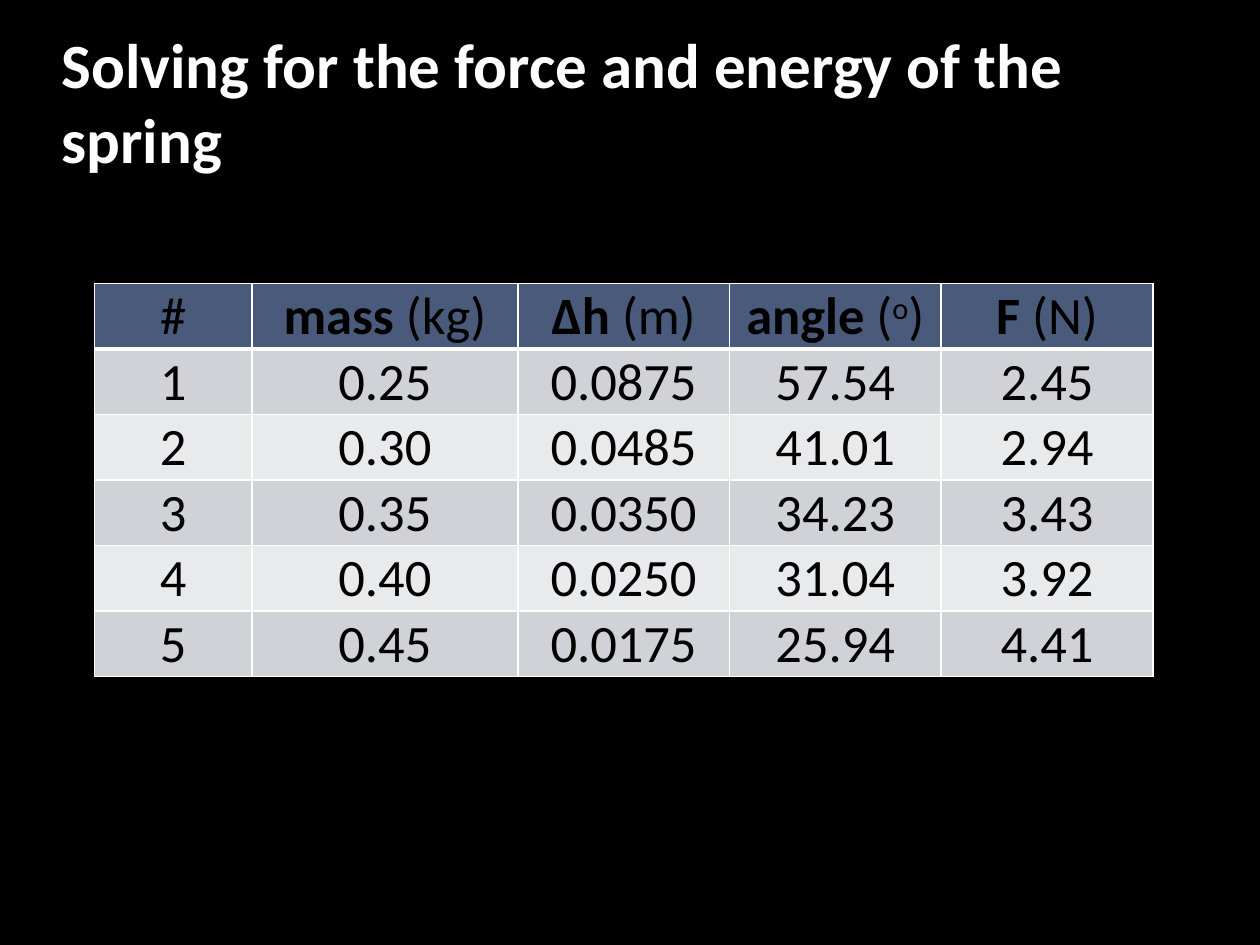
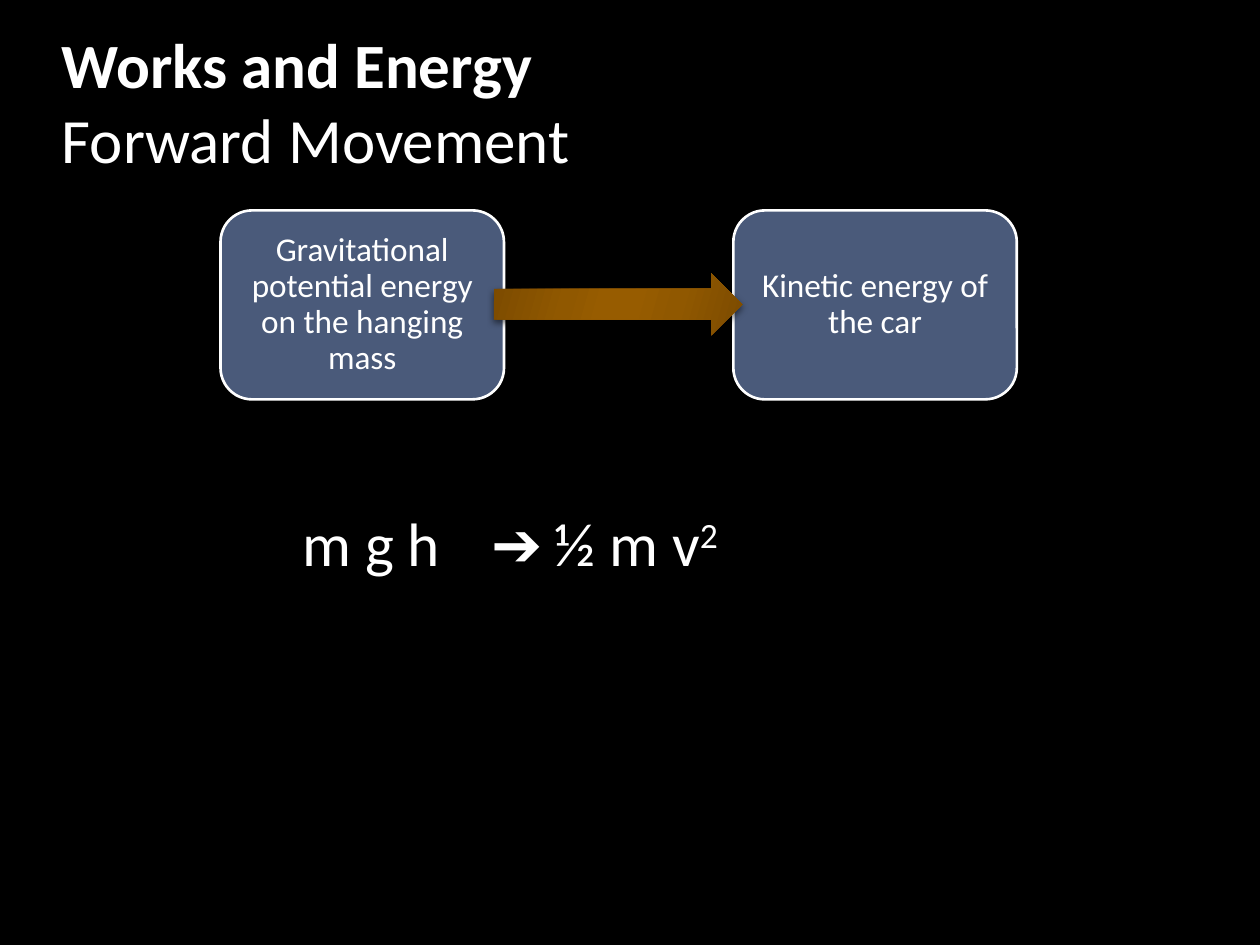
import pptx
import pptx.dml.color
import pptx.enum.shapes
import pptx.enum.text
import pptx.oxml
import pptx.oxml.ns
import pptx.util
from pptx.util import Inches

BLACK, WHITE, SLATE = "000000", "FFFFFF", "4A5A7A"
BANDS = ["E9EAEC", "D0D2D7"]
NAMESPACE = pptx.oxml.ns.nsdecls("a")
CENTER = pptx.enum.text.PP_ALIGN.CENTER
MIDDLE = pptx.enum.text.MSO_ANCHOR.MIDDLE
BOTTOM = pptx.enum.text.MSO_ANCHOR.BOTTOM


def color(value):
    return pptx.dml.color.RGBColor.from_string(value)


def add_span(para, text, size, ink, bold=False, raised=False):
    span = para.add_run()
    span.text = text
    span.font.name = "Calibri"
    span.font.size = pptx.util.Pt(size)
    span.font.color.rgb = color(ink)
    span.font.bold = bold
    if raised:
        span.font._element.set("baseline", "30000")


deck = pptx.Presentation()
deck.slide_width, deck.slide_height = Inches(10), Inches(7.5)
background = deck.slide_master.background.fill
background.solid()
background.fore_color.rgb = color(BLACK)

pages = []
for layout, headline, subtitle in [
    (5, "Solving for the force and energy of the spring", ""),
    (1, "Works and Energy", "Forward Movement"),
]:
    page = deck.slides.add_slide(deck.slide_layouts[layout])
    title = page.shapes.title
    title.left, title.top = Inches(0.39), Inches(0.25)
    title.width, title.height = Inches(8.4), Inches(1.17)
    frame = title.text_frame
    frame.auto_size = pptx.enum.text.MSO_AUTO_SIZE.NONE
    frame.vertical_anchor = BOTTOM
    frame.margin_bottom = Inches(0.02)
    para = frame.paragraphs[0]
    para.alignment = pptx.enum.text.PP_ALIGN.LEFT
    add_span(para, headline, 36, WHITE, bold=True)
    if subtitle:
        para.add_line_break()
        add_span(para, subtitle, 36, WHITE)
    pages.append(page)

table_page, energy_page = pages

headers = [("", "#"), ("mass ", "(kg)"), ("∆h ", "(m)"), ("angle ", "(", "o", ")"), ("F ", "(N)")]
measurements = [
    ("1", "0.25", "0.0875", "57.54", "2.45"),
    ("2", "0.30", "0.0485", "41.01", "2.94"),
    ("3", "0.35", "0.0350", "34.23", "3.43"),
    ("4", "0.40", "0.0250", "31.04", "3.92"),
    ("5", "0.45", "0.0175", "25.94", "4.41"),
]
rows = [headers] + [[("", value) for value in row] for row in measurements]
table = table_page.shapes.add_table(
    len(rows), len(headers), Inches(0.75), Inches(2.25), Inches(8.4), Inches(3.12)
).table
table.first_row = table.horz_banding = False
for column, width in zip(table.columns, [1.25, 2.11, 1.68, 1.68, 1.68]):
    column.width = Inches(width)
for row_index, row in enumerate(rows):
    table.rows[row_index].height = Inches(0.52)
    for column_index, parts in enumerate(row):
        cell = table.cell(row_index, column_index)
        cell.vertical_anchor = BOTTOM
        cell.margin_left = cell.margin_right = cell.margin_top = Inches(0.01)
        cell.margin_bottom = 0
        para = cell.text_frame.paragraphs[0]
        para.alignment = CENTER
        for part_index, part in enumerate(parts):
            if part:
                add_span(para, part, 30, BLACK, bold=part_index == 0, raised=part == "o")
        for side in "LRTB":
            heavy = (row_index, side) in [(0, "B"), (1, "T")]
            cell._tc.get_or_add_tcPr().append(pptx.oxml.parse_xml(
                f'<a:ln{side} {NAMESPACE} w="{38100 if heavy else 12700}"><a:solidFill>'
                f'<a:srgbClr val="{WHITE}"/></a:solidFill></a:ln{side}>'
            ))
        cell.fill.solid()
        cell.fill.fore_color.rgb = color(BANDS[row_index % 2] if row_index else SLATE)

formula = energy_page.placeholders[1]
formula.left, formula.top = Inches(2.3), Inches(3.98)
formula.width, formula.height = Inches(6.9), Inches(0.65)
formula.text_frame.vertical_anchor = MIDDLE
para = formula.text_frame.paragraphs[0]
para.space_before = pptx.util.Pt(0)
add_span(para, "m g h\t➔\t½ m v", 35, WHITE)
add_span(para, "2", 35, WHITE, raised=True)
properties = para._p.get_or_add_pPr()
properties.set("marL", "0")
properties.set("indent", "0")
properties.append(pptx.oxml.parse_xml(f"<a:buNone {NAMESPACE}/>"))
stops = "".join(f'<a:tab pos="{Inches(stop)}" algn="l"/>' for stop in (3.33, 5))
properties.append(pptx.oxml.parse_xml(f"<a:tabLst {NAMESPACE}>{stops}</a:tabLst>"))

for left, label in [
    (1.75, "Gravitational potential energy on the hanging mass"),
    (5.82, "Kinetic energy of the car"),
]:
    box = energy_page.shapes.add_shape(
        pptx.enum.shapes.MSO_SHAPE.ROUNDED_RECTANGLE,
        Inches(left), Inches(1.67), Inches(2.25), Inches(1.5),
    )
    box.shadow.inherit = False
    box.fill.solid()
    box.fill.fore_color.rgb = color(SLATE)
    box.line.color.rgb = color(WHITE)
    box.line.width = pptx.util.Pt(1.5)
    frame = box.text_frame
    frame.word_wrap = True
    frame.vertical_anchor = MIDDLE
    frame.margin_left = frame.margin_right = Inches(0.08)
    para = frame.paragraphs[0]
    para.alignment = CENTER
    para.line_spacing = 0.9
    add_span(para, label, 19, WHITE)

arrow = energy_page.shapes.add_shape(
    pptx.enum.shapes.MSO_SHAPE.RIGHT_ARROW, Inches(3.92), Inches(2.17), Inches(1.97), Inches(0.49)
)
arrow.line.fill.background()
arrow.fill.gradient()
arrow.fill.gradient_angle = 344
stop_list = arrow._element.spPr.find(".//" + pptx.oxml.ns.qn("a:gsLst"))
for stop in list(stop_list):
    stop_list.remove(stop)
for position, shade in [
    (0, "7C4B00"), (30, "905800"), (45, "975C00"), (55, "975C00"), (73, "905800"), (100, "7C4B00")
]:
    stop_list.append(pptx.oxml.parse_xml(
        f'<a:gs {NAMESPACE} pos="{position * 1000}"><a:srgbClr val="{shade}"/></a:gs>'
    ))
arrow.shadow.inherit = False
arrow._element.spPr.find(pptx.oxml.ns.qn("a:effectLst")).append(pptx.oxml.parse_xml(
    f'<a:outerShdw {NAMESPACE} blurRad="50800" dist="25400" dir="5400000" rotWithShape="0">'
    f'<a:srgbClr val="{BLACK}"><a:alpha val="50000"/></a:srgbClr></a:outerShdw>'
))

deck.save("out.pptx")
